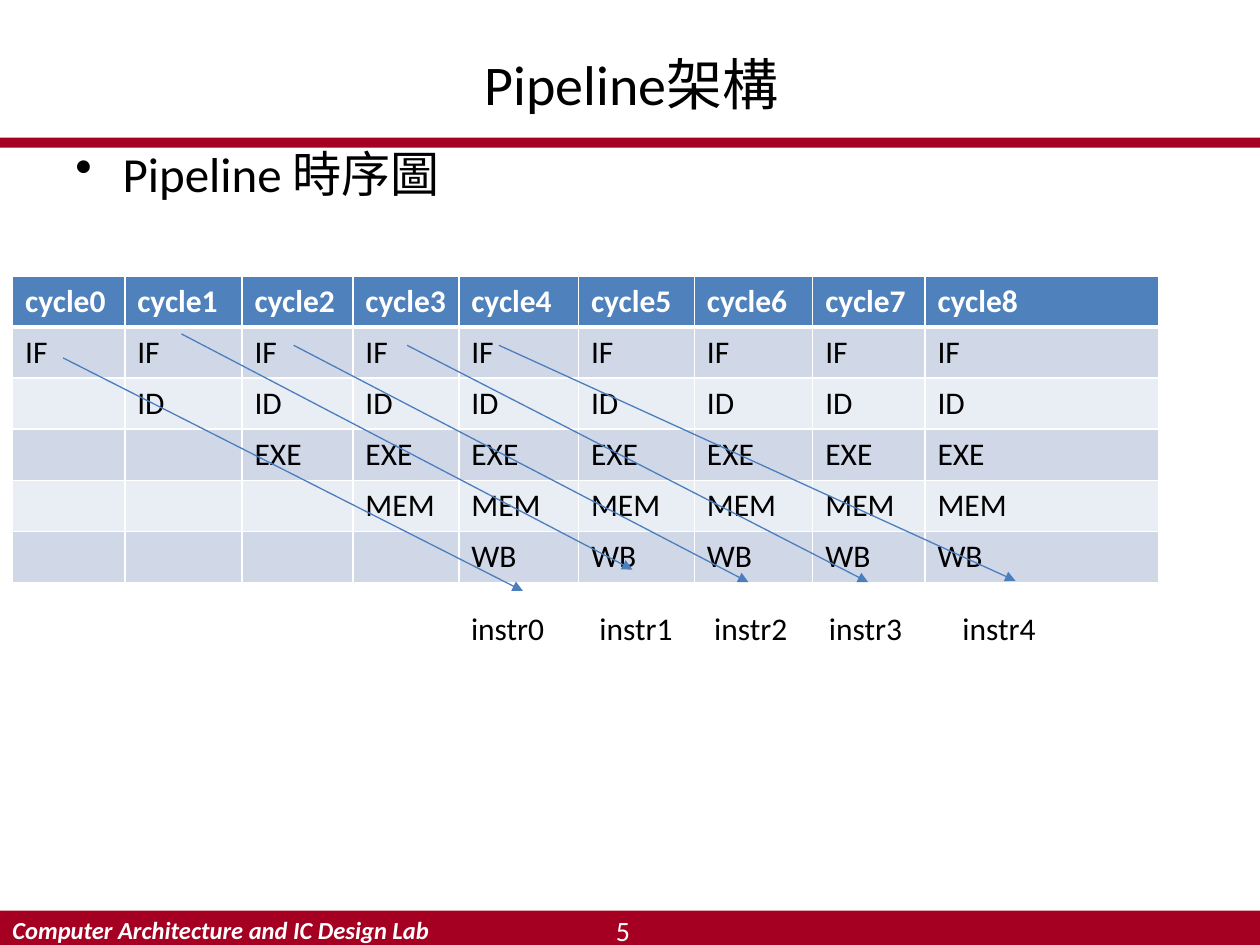
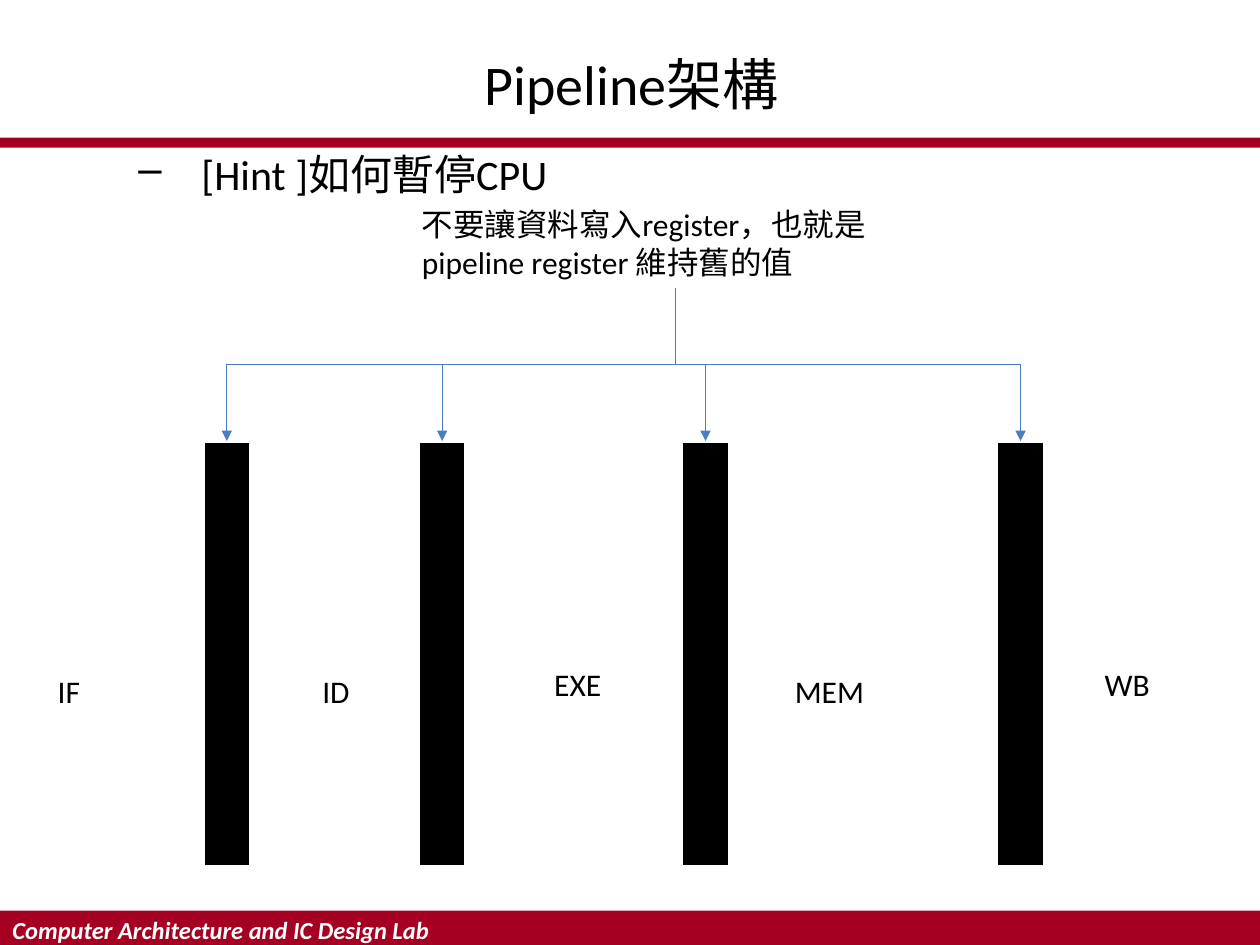
import pptx
import pptx.util
import pptx.dml.color
import pptx.enum.shapes
import pptx.enum.text
import pptx.oxml
import pptx.oxml.ns

Pt = pptx.util.Pt
RGBColor = pptx.dml.color.RGBColor
PP_ALIGN = pptx.enum.text.PP_ALIGN
MSO_ANCHOR = pptx.enum.text.MSO_ANCHOR
MSO_CONNECTOR = pptx.enum.shapes.MSO_CONNECTOR
qn = pptx.oxml.ns.qn

CRIMSON = RGBColor(0xA5, 0x00, 0x21)
WHITE = RGBColor(0xFF, 0xFF, 0xFF)
BLACK = RGBColor(0x00, 0x00, 0x00)
ARROW_BLUE = RGBColor(0x4B, 0x7E, 0xBC)
HEADER_BLUE = RGBColor(0x4F, 0x81, 0xBD)
ROW_DARK = RGBColor(0xD0, 0xD8, 0xE8)
ROW_LIGHT = RGBColor(0xE9, 0xED, 0xF4)
FONT = "Calibri"
SLIDE_WIDTH, SLIDE_HEIGHT = 720, 540

STAGES = ["IF", "ID", "EXE", "MEM", "WB"]
COLUMN_WIDTHS = [64.1, 67, 63.4, 60.5, 68.4, 66.2, 67.7, 64.1, 133.9]
ROW_HEIGHT = 29.2
# Start and end of each instruction's arrow, and the left edge of its label,
# measured from the top left corner of the table.
INSTRUCTIONS = [
    ((28.8, 46.8), (291.6, 180), 254.9),
    ((96.5, 33.1), (354.2, 167.8), 328.3),
    ((160.6, 39.6), (420.5, 175), 393.8),
    ((225.4, 39.6), (488.9, 175), 459.4),
    ((277.9, 39.6), (573.1, 174.2), 535.7),
]
# Measured from the top left corner of the register row.
REGISTER_LEFTS = [115.9, 239, 389.5, 569.5]
STAGE_LABELS = [(25.9, 128.2, 46), (177.1, 128.2, 46), (309.6, 124.6, 46),
                (447.1, 128.2, 69), (624.2, 124.6, 69)]


def add_run(paragraph, text, size, color=BLACK, bold=False, italic=False):
    run = paragraph.add_run()
    run.text = text
    run.font.name = FONT
    run.font.size = Pt(size)
    run.font.color.rgb = color
    run.font.bold = bold
    run.font.italic = italic


def add_text(slide, box, text, size=18, align=PP_ALIGN.LEFT, anchor=MSO_ANCHOR.TOP, **style):
    shape = slide.shapes.add_textbox(*map(Pt, box))
    frame = shape.text_frame
    frame.word_wrap = True
    frame.vertical_anchor = anchor
    paragraph = frame.paragraphs[0]
    paragraph.alignment = align
    add_run(paragraph, text, size, **style)
    return shape


def add_bullet_text(slide, box, text, size, mark, margin, hanging):
    paragraph = add_text(slide, box, text, size).text_frame.paragraphs[0]
    paragraph.space_before = Pt(size * 0.2)
    properties = paragraph._p.get_or_add_pPr()
    properties.set("marL", str(Pt(margin)))
    properties.set("indent", str(-Pt(hanging)))
    bullet = properties.makeelement(qn("a:buChar"), {"char": mark})
    properties.append(bullet)


def add_bar(slide, box, color):
    shape = slide.shapes.add_shape(pptx.enum.shapes.MSO_SHAPE.RECTANGLE, *map(Pt, box))
    shape.shadow.inherit = False
    shape.fill.solid()
    shape.fill.fore_color.rgb = color
    shape.line.fill.background()
    return shape


def add_arrow(slide, kind, start=(0, 0), end=(0, 0)):
    connector = slide.shapes.add_connector(kind, *map(Pt, start + end))
    connector.line.color.rgb = ARROW_BLUE
    connector.line.width = Pt(0.75)
    line = connector.line._get_or_add_ln()
    line.append(line.makeelement(qn("a:tailEnd"), {"type": "triangle"}))
    properties = connector._element.spPr
    properties.append(properties.makeelement(qn("a:effectLst"), {}))
    return connector


def add_drop_arrow(slide, source, target):
    """Elbow arrow that leaves downwards, runs sideways, then drops on the target."""
    connector = add_arrow(slide, MSO_CONNECTOR.ELBOW)
    connector.begin_connect(source, 2)
    connector.end_connect(target, 0)
    start_x, start_y = connector.begin_x, connector.begin_y
    end_x, end_y = connector.end_x, connector.end_y
    length, spread = end_y - start_y, abs(end_x - start_x)
    connector.left = (start_x + end_x - length) // 2
    connector.top = (start_y + end_y - spread) // 2
    connector.width, connector.height = length, spread
    to_right = end_x > start_x
    transform = connector._element.spPr.find(qn("a:xfrm"))
    transform.set("rot", str((270 if to_right else 90) * 60000))
    transform.set("flipH", "1" if to_right else "0")
    transform.set("flipV", "0")


def add_frame(presentation, title):
    """New slide with the shared footer, title rule and title."""
    slide = presentation.slides.add_slide(presentation.slide_layouts[6])
    add_bar(slide, (0, 520.4, SLIDE_WIDTH, 19.8), CRIMSON)
    add_text(slide, (0, 520.4, 281.5, 22.2), "Computer Architecture and IC Design Lab", 14,
             anchor=MSO_ANCHOR.MIDDLE, color=WHITE, bold=True, italic=True)
    add_bar(slide, (0, 78.6, SLIDE_WIDTH, 5.8), CRIMSON)
    add_text(slide, (36, 16.6, 650, 62), title, 32, PP_ALIGN.CENTER, MSO_ANCHOR.MIDDLE)
    return slide


def set_borders(cell, bottom):
    properties = cell._tc.get_or_add_tcPr()
    for side, width in (("L", 1), ("R", 1), ("T", 1), ("B", bottom)):
        properties.append(pptx.oxml.parse_xml(
            f'<a:ln{side} {pptx.oxml.ns.nsdecls("a")} w="{Pt(width)}">'
            f'<a:solidFill><a:srgbClr val="{WHITE}"/></a:solidFill></a:ln{side}>'))


def fill_cell(cell, text, fill, bottom=1, **style):
    set_borders(cell, bottom)
    cell.fill.solid()
    cell.fill.fore_color.rgb = fill
    if text:
        add_run(cell.text_frame.paragraphs[0], text, 18, **style)


def add_timing_table(slide, left, top):
    row_count = len(STAGES) + 1
    table = slide.shapes.add_table(
        row_count, len(COLUMN_WIDTHS), Pt(left), Pt(top),
        Pt(sum(COLUMN_WIDTHS)), Pt(ROW_HEIGHT * row_count)).table
    for row in table.rows:
        row.height = Pt(ROW_HEIGHT)
    for cycle, width in enumerate(COLUMN_WIDTHS):
        table.columns[cycle].width = Pt(width)
        fill_cell(table.cell(0, cycle), f"cycle{cycle}", HEADER_BLUE, 3, color=WHITE, bold=True)
        for depth, stage in enumerate(STAGES):
            fill_cell(table.cell(depth + 1, cycle), stage if cycle >= depth else "",
                      ROW_LIGHT if depth % 2 else ROW_DARK)


def add_instructions(slide, left, top):
    for number, (start, end, label_left) in enumerate(INSTRUCTIONS):
        add_arrow(slide, MSO_CONNECTOR.STRAIGHT,
                  (left + start[0], top + start[1]), (left + end[0], top + end[1]))
        add_text(slide, (left + label_left, top + 186.5, 75, 29), f"instr{number}")


def add_registers(slide, left, top, note):
    for stage, (x, y, width) in zip(STAGES, STAGE_LABELS):
        add_text(slide, (left + x, top + y, width, 29), stage)
    for register_left in REGISTER_LEFTS:
        register = add_bar(slide, (left + register_left, top, 27.4, 243.4), BLACK)
        register.line.color.rgb = WHITE
        register.line.width = Pt(2)
        add_drop_arrow(slide, note, register)


def build_timing_slide(presentation):
    slide = add_frame(presentation, "Pipeline架構")
    add_bullet_text(slide, (36, 78.6, 648, 404), "Pipeline 時序圖", 28, "•", 27, 27)
    add_text(slide, (285, 523.4, 142, 16.6), "5", 16, PP_ALIGN.CENTER,
             MSO_ANCHOR.MIDDLE, color=WHITE)
    add_timing_table(slide, 7.2, 157.7)
    add_instructions(slide, 7.2, 157.7)


def build_stall_slide(presentation):
    slide = add_frame(presentation, "Pipeline架構")
    add_bullet_text(slide, (36, 81.4, 650, 404), "[Hint ]如何暫停CPU", 24, "–", 72, 36)
    note = add_text(slide, (234, 113.6, 303.8, 51),
                    "不要讓資料寫入register，也就是pipeline register 維持舊的值")
    add_registers(slide, 0, 252, note)


def main():
    presentation = pptx.Presentation()
    presentation.slide_width = Pt(SLIDE_WIDTH)
    presentation.slide_height = Pt(SLIDE_HEIGHT)
    build_timing_slide(presentation)
    build_stall_slide(presentation)
    presentation.save("out.pptx")


if __name__ == "__main__":
    main()
